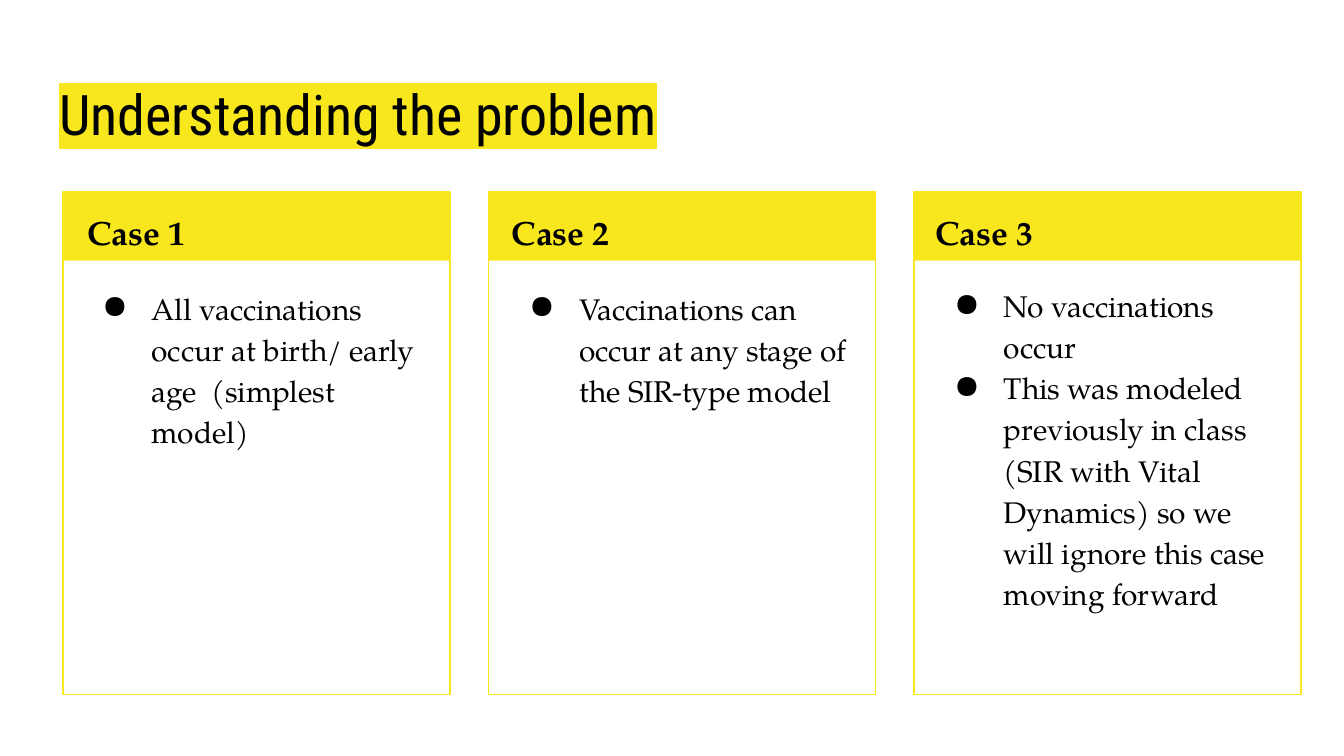
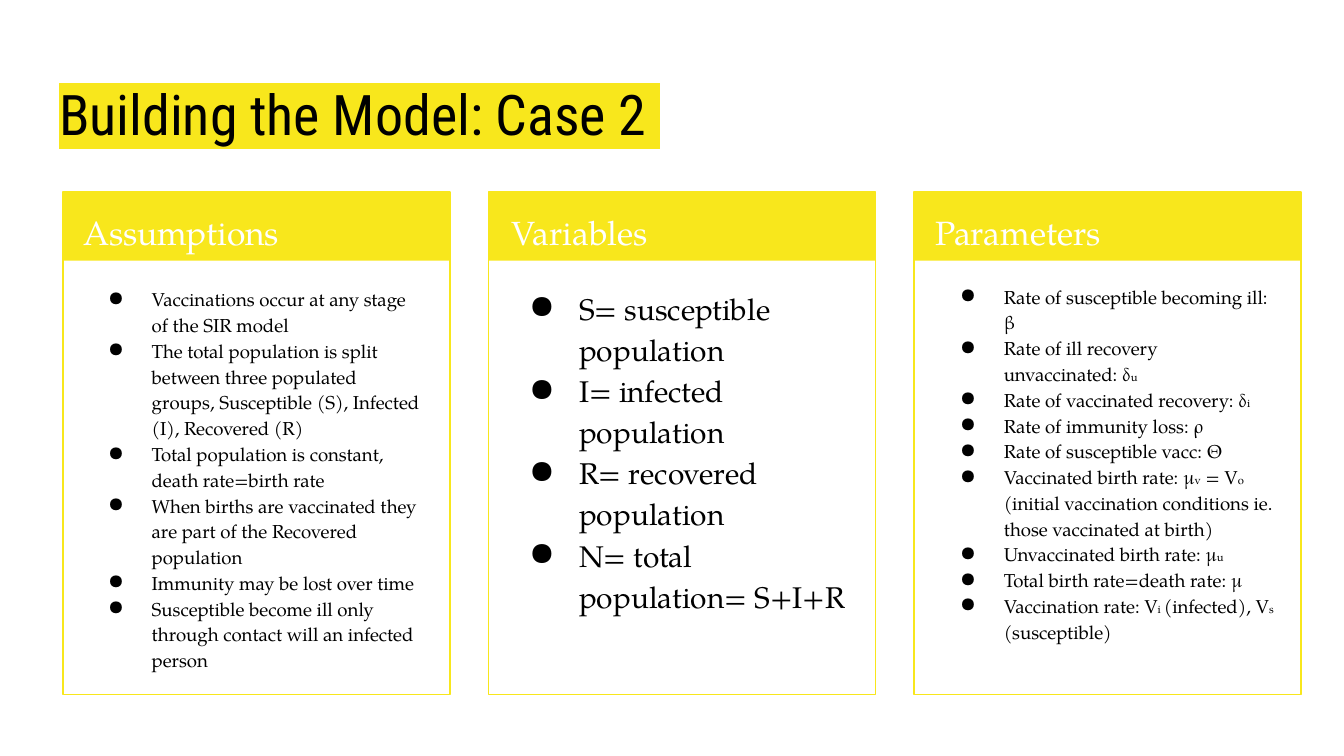
from lxml.etree import SubElement
from pptx import Presentation
from pptx.dml.color import RGBColor
from pptx.enum.shapes import MSO_SHAPE
from pptx.enum.text import MSO_ANCHOR, MSO_AUTO_SIZE, PP_ALIGN
from pptx.oxml import parse_xml
from pptx.oxml.ns import nsdecls, qn
from pptx.util import Inches, Pt

YELLOW = RGBColor(0xF8, 0xE7, 0x1C)
BLACK = RGBColor(0x00, 0x00, 0x00)
WHITE = RGBColor(0xFF, 0xFF, 0xFF)
TITLE_FONT = "Roboto Condensed"
TEXT_FONT = "TeX Gyre Pagella"
SUBSCRIPT_SIZE = 6

# Each bullet is a tuple of runs: plain text alternates with small subscripts.
SLIDES = [
    {
        "title": "Understanding the problem",
        "heading_color": BLACK,
        "heading_bold": True,
        "heading_lefts": (0.55, 3.71, 6.86),
        "cards": [
            ("Case 1", 16, [
                ("All vaccinations occur at birth/ early age  (simplest model)",),
            ]),
            ("Case 2", 16, [
                ("Vaccinations can occur at any stage of the SIR-type model",),
            ]),
            ("Case 3", 16, [
                ("No vaccinations occur",),
                ("This was modeled previously in class (SIR with Vital Dynamics) "
                 "so we will ignore this case moving forward",),
            ]),
        ],
    },
    {
        "title": "Building the Model: Case 2 ",
        "heading_color": WHITE,
        "heading_bold": False,
        "heading_lefts": (0.52, 3.71, 6.86),
        "cards": [
            ("Assumptions", 10, [
                ("Vaccinations occur at any stage of the SIR model",),
                ("The total population is split between three populated groups, "
                 "Susceptible (S), Infected (I), Recovered (R)",),
                ("Total population is constant, death rate=birth rate",),
                ("When births are vaccinated they are part of the Recovered population",),
                ("Immunity may be lost over time",),
                ("Susceptible become ill only through contact will an infected person",),
            ]),
            ("Variables", 16, [
                ("S= susceptible population",),
                ("I= infected population",),
                ("R= recovered population",),
                ("N= total population= S+I+R",),
            ]),
            ("Parameters", 10, [
                ("Rate of susceptible becoming ill: β",),
                ("Rate of ill recovery unvaccinated: δ", "u"),
                ("Rate of vaccinated recovery: δ", "i"),
                ("Rate of immunity loss: ρ",),
                ("Rate of susceptible vacc: Θ",),
                ("Vaccinated birth rate: μ", "v", " = V", "o ",
                 " (initial vaccination conditions ie. those vaccinated at birth)"),
                ("Unvaccinated birth rate: μ", "u"),
                ("Total birth rate=death rate: μ",),
                ("Vaccination rate: V", "i ", "(infected), V", "s", " (susceptible)"),
            ]),
        ],
    },
]

# Card geometry in inches
FIRST_CARD_LEFT, LAST_CARD_LEFT = 0.47, 6.8
CARD_TOP, CARD_WIDTH, CARD_HEIGHT = 1.43, 2.88, 3.74
CARD_STEP = (LAST_CARD_LEFT - FIRST_CARD_LEFT) / 2
BAND_HEIGHT = 0.51
BODY_CORNERS = ((0.53, 2.02), (3.71, 2.02), (6.87, 2.0))
BULLET_HANG = {16: 0.36, 10: 0.32}


def prepare_frame(frame):
    frame.word_wrap = True
    frame.auto_size = MSO_AUTO_SIZE.NONE
    frame.vertical_anchor = MSO_ANCHOR.TOP
    frame.margin_left = frame.margin_right = Inches(0.1)
    frame.margin_top = frame.margin_bottom = Inches(0.1)


def add_run(paragraph, text, font_name, size, color, bold=False):
    run = paragraph.add_run()
    run.text = text
    run.font.size = Pt(size)
    run.font.bold = bold
    run.font.color.rgb = color
    run.font.name = font_name
    return run


def add_bullet(paragraph, size):
    properties = paragraph._p.get_or_add_pPr()
    properties.set("marL", str(Inches(0.5)))
    properties.set("indent", str(-Inches(BULLET_HANG[size])))
    bullet_color = SubElement(properties, qn("a:buClr"))
    SubElement(bullet_color, qn("a:srgbClr")).set("val", str(BLACK))
    SubElement(properties, qn("a:buFont")).set("typeface", TEXT_FONT)
    SubElement(properties, qn("a:buChar")).set("char", "●")


def add_text_frame(slide, left, top, width, height):
    box = slide.shapes.add_textbox(Inches(left), Inches(top), Inches(width), Inches(height))
    prepare_frame(box.text_frame)
    return box.text_frame


def set_title(slide, text):
    title = slide.shapes.title
    title.left, title.top = Inches(0.34), Inches(0.49)
    title.width, title.height = Inches(9.32), Inches(0.63)
    prepare_frame(title.text_frame)
    paragraph = title.text_frame.paragraphs[0]
    paragraph.alignment = PP_ALIGN.LEFT
    run = add_run(paragraph, text, TITLE_FONT, 30, BLACK)
    highlight = parse_xml(
        f'<a:highlight {nsdecls("a")}><a:srgbClr val="{YELLOW}"/></a:highlight>')
    run.font._element.find(qn("a:solidFill")).addnext(highlight)


def add_card_outline(slide, left):
    group = slide.shapes.add_group_shape()
    band, border = (
        group.shapes.add_shape(MSO_SHAPE.RECTANGLE, Inches(left), Inches(CARD_TOP),
                               Inches(CARD_WIDTH), Inches(height))
        for height in (BAND_HEIGHT, CARD_HEIGHT))
    band.shadow.inherit = border.shadow.inherit = False
    band.fill.solid()
    band.fill.fore_color.rgb = YELLOW
    band.line.fill.background()
    border.fill.background()
    border.line.color.rgb = YELLOW
    border.line.width = Pt(0.75)


def add_heading(slide, left, text, color, bold):
    frame = add_text_frame(slide, left, CARD_TOP, 2.73, 0.5)
    paragraph = frame.paragraphs[0]
    paragraph.line_spacing = 1.15
    add_run(paragraph, text, TEXT_FONT, 18, color, bold)


def add_bullets(slide, corner, size, bullets):
    frame = add_text_frame(slide, *corner, 2.71, 3.06)
    for index, runs in enumerate(bullets):
        paragraph = frame.add_paragraph() if index else frame.paragraphs[0]
        add_bullet(paragraph, size)
        paragraph.line_spacing = 1.15
        for position, text in enumerate(runs):
            run_size = SUBSCRIPT_SIZE if position % 2 else size
            add_run(paragraph, text, TEXT_FONT, run_size, BLACK)


def main():
    presentation = Presentation()
    presentation.slide_width = Inches(10)
    presentation.slide_height = Inches(10) * 9 // 16
    title_only = presentation.slide_layouts[5]

    for content in SLIDES:
        slide = presentation.slides.add_slide(title_only)
        set_title(slide, content["title"])
        for column, (heading, size, bullets) in enumerate(content["cards"]):
            add_card_outline(slide, FIRST_CARD_LEFT + column * CARD_STEP)
            add_heading(slide, content["heading_lefts"][column], heading,
                        content["heading_color"], content["heading_bold"])
            add_bullets(slide, BODY_CORNERS[column], size, bullets)

    presentation.save("out.pptx")


if __name__ == "__main__":
    main()
